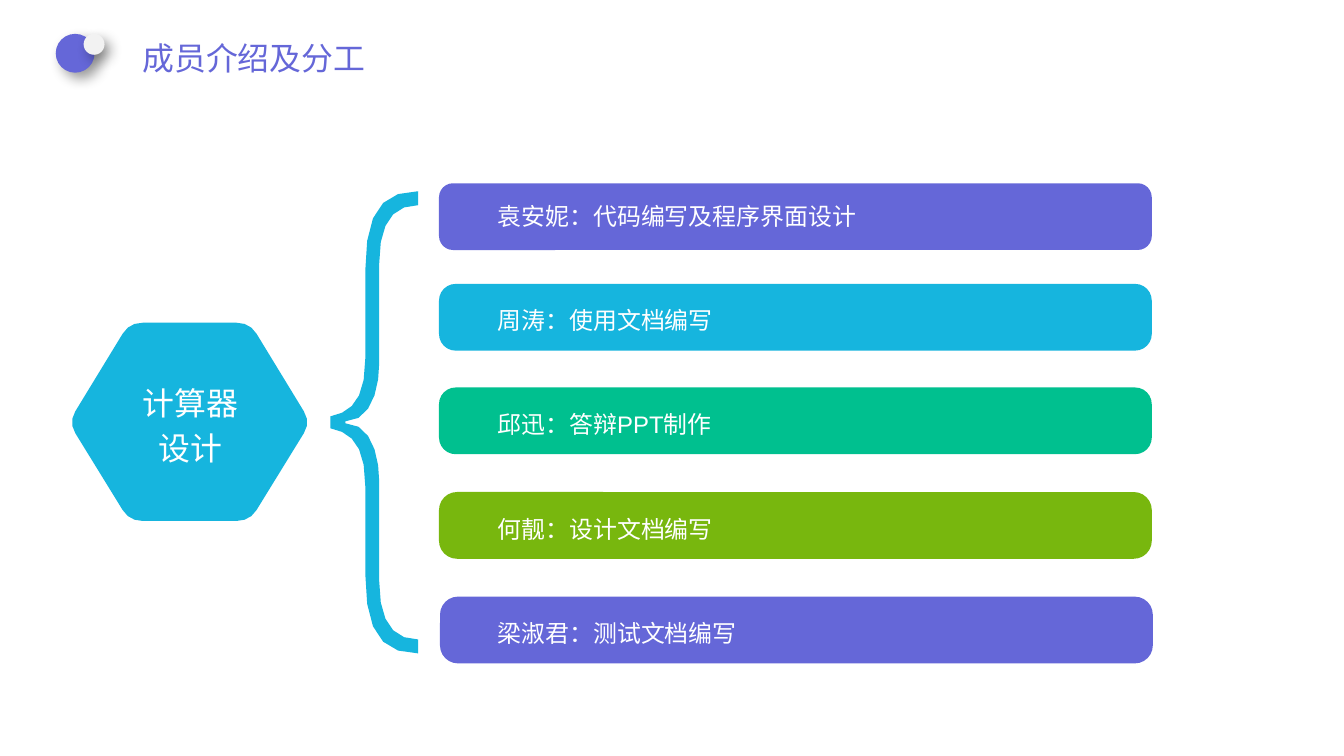
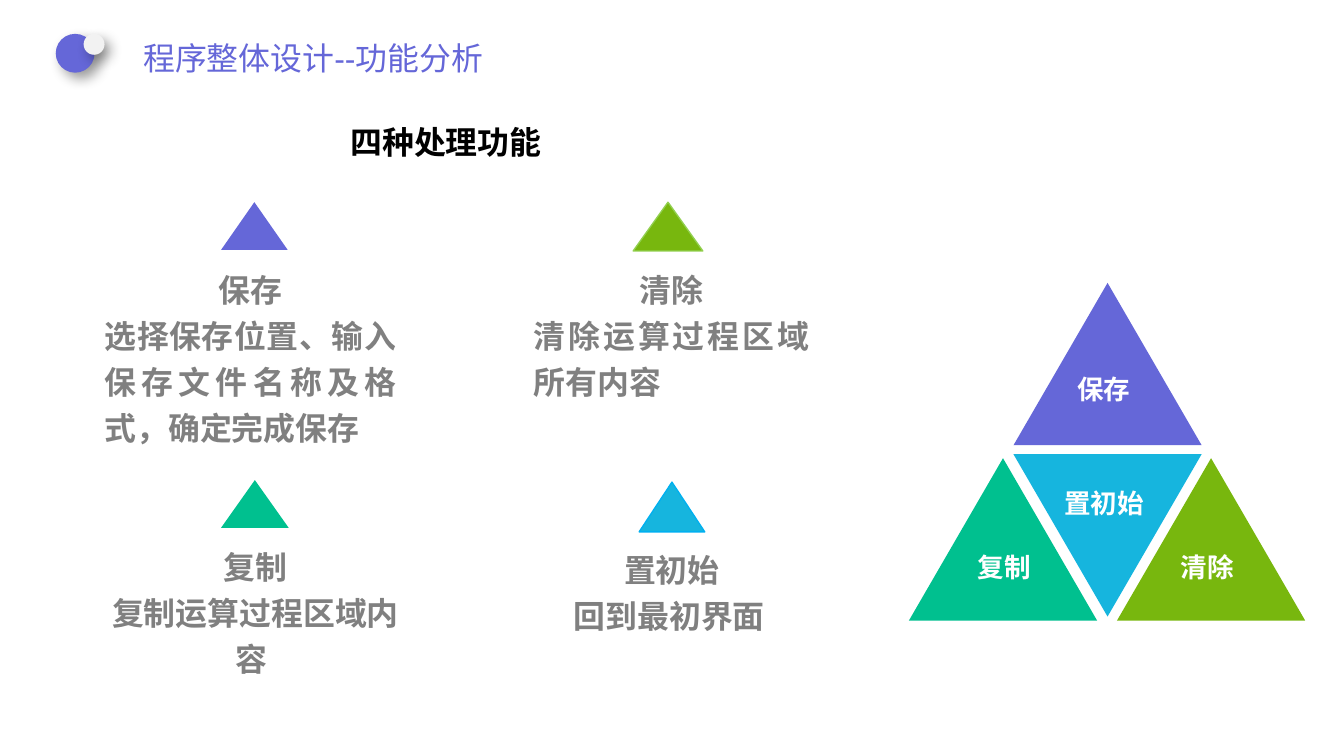
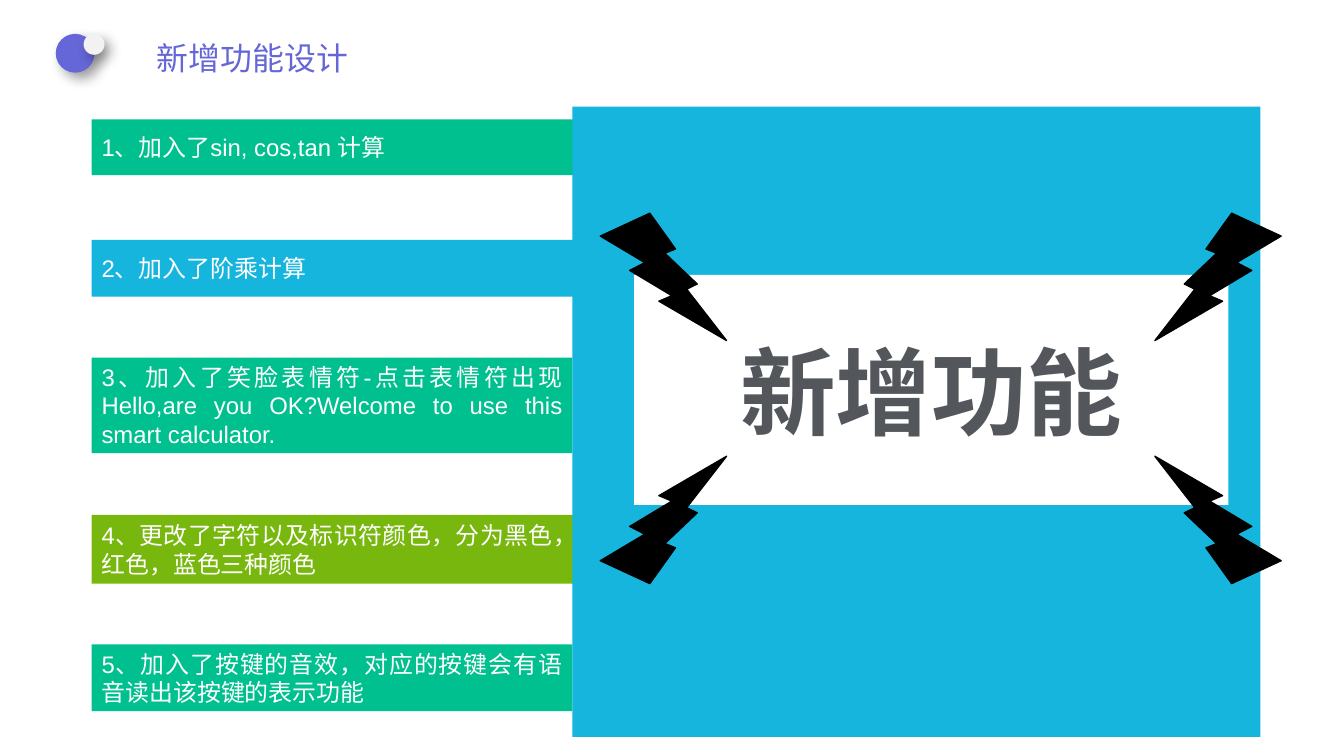
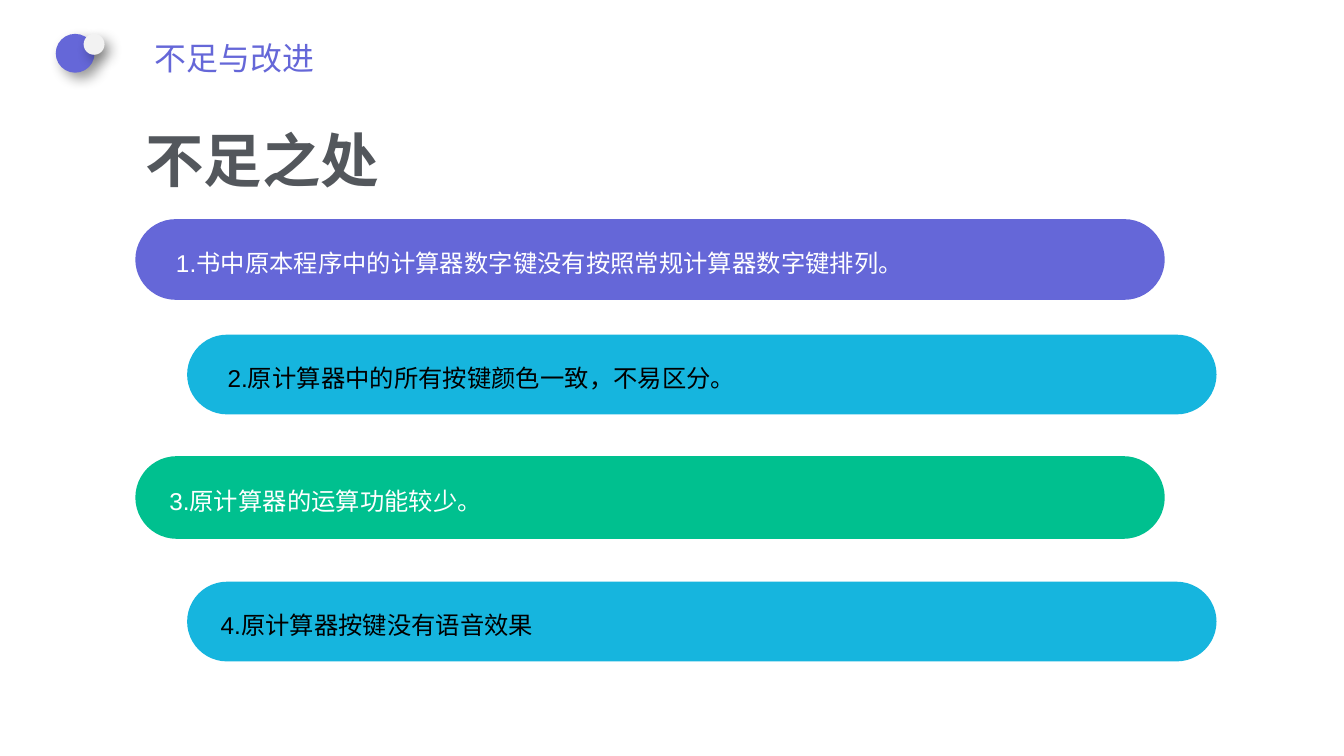
"""Builds four slides on a calculator project: team, functions, additions and shortcomings."""
import math

from lxml import etree
from pptx import Presentation
from pptx import util as u
from pptx.dml.color import RGBColor
from pptx.enum import shapes, text
from pptx.oxml.ns import qn

PX = 9525
PURPLE, BLUE, TEAL, GREEN = "6567D8", "16B5DE", "00C08F", "78B70E"
WHITE, BLACK, GREY, SLATE = "FFFFFF", "000000", "808080", "53575C"
CJK = "Noto Sans CJK SC"
MSO = shapes.MSO_SHAPE
LEFT, CENTER, JUSTIFY = text.PP_ALIGN.LEFT, text.PP_ALIGN.CENTER, text.PP_ALIGN.JUSTIFY
TOP, MIDDLE = text.MSO_ANCHOR.TOP, text.MSO_ANCHOR.MIDDLE


def paint(sp, fill, line=None):
    """Give a shape a flat fill, an optional thin line and no shadow."""
    sp.shadow.inherit = False
    sp.fill.solid()
    sp.fill.fore_color.rgb = RGBColor.from_string(fill)
    if line:
        sp.line.color.rgb = RGBColor.from_string(line)
        sp.line.width = u.Pt(1)
    else:
        sp.line.fill.background()
    return sp


def write(sp, words, size, color=WHITE, font="Arial", align=LEFT, spacing=1.0,
          bold=False, ins=(10, 5), anchor=TOP):
    """Fill a shape or text box with formatted text, one paragraph a line."""
    tf = sp.text_frame
    tf.text = words
    tf.word_wrap = True
    tf.vertical_anchor = anchor
    tf.margin_left = tf.margin_right = ins[0] * PX
    tf.margin_top = tf.margin_bottom = ins[1] * PX
    for p in tf.paragraphs:
        p.alignment = align
        p.line_spacing = spacing
        for r in p.runs:
            r.font.size = u.Pt(size)
            r.font.bold = bold
            r.font.name = font
            r.font.color.rgb = RGBColor.from_string(color)
            etree.SubElement(r.font._element, qn("a:ea")).set("typeface", CJK)
    return tf


prs = Presentation()
prs.slide_width, prs.slide_height = 1350 * PX, 759 * PX

titles = [("成员介绍及分工", 94, 322), ("程序整体设计--功能分析", 94, 441),
          ("新增功能设计", 33, 441), ("不足与改进", 15, 441)]
for title, x, w in titles:
    s = prs.slides.add_slide(prs.slide_layouts[6])
    for dot_x, d, fill in [(56, 39, PURPLE), (84, 21, "F2F2F2")]:
        sp = paint(s.shapes.add_shape(MSO.OVAL, dot_x * PX, 34 * PX, d * PX, d * PX), fill)
        effects = sp._element.spPr.find(qn("a:effectLst"))
        shadow = etree.SubElement(effects, qn("a:outerShdw"), blurRad=str(u.Pt(10)),
                                  dist=str(u.Pt(6)), dir="2700000", algn="tl", rotWithShape="0")
        black = etree.SubElement(shadow, qn("a:srgbClr"), val=BLACK)
        etree.SubElement(black, qn("a:alpha"), val="40000")
    sp = s.shapes.add_textbox(x * PX, 26 * PX, w * PX, 56 * PX)
    write(sp, title, 24, PURPLE, align=CENTER, spacing=1.2)
team, functions, additions, limits = prs.slides

s = team
corners = [(130, 324), (251, 324), (312, 424), (251, 523), (130, 523), (69, 424)]
hexagon = []
for i, (x, y) in enumerate(corners):
    (ax, ay), (bx, by) = corners[i - 1], corners[(i + 1) % 6]
    for step in range(4):
        t = step / 3
        k, m = 0.11 * (1 - t) ** 2, 0.11 * t ** 2
        hexagon.append((x + k * (ax - x) + m * (bx - x), y + k * (ay - y) + m * (by - y)))

curves = [
    ((332, 418), (353, 414), (367, 401), (367, 360)),
    ((367, 272), (367, 215), (382, 192), (420, 192)),
    ((420, 206), (394, 206), (381, 225), (381, 264)),
    ((381, 364), (381, 392), (372, 423), (347, 423)),
]
brace = []
for curve in curves:
    for step in range(6):
        t = step / 5
        weights = [math.comb(3, k) * t ** k * (1 - t) ** (3 - k) for k in range(4)]
        brace.append(tuple(sum(c * v for c, v in zip(weights, axis)) for axis in zip(*curve)))
brace += [(x, 848 - y) for x, y in reversed(brace)]

for outline in (hexagon, brace):
    points = [(round(x * PX), round(y * PX)) for x, y in outline]
    fb = s.shapes.build_freeform(*points[0], scale=1.0)
    fb.add_line_segments(points[1:], close=True)
    paint(fb.convert_to_shape(), BLUE)
sp = s.shapes.add_textbox(119 * PX, 377 * PX, 145 * PX, 93 * PX)
write(sp, "计算器\n设计", 24, align=CENTER, spacing=1.2, ins=(0, 0))

members = [
    ("袁安妮：代码编写及程序界面设计", 441, 184, 197, PURPLE, 0.21),
    ("周涛：使用文档编写", 441, 285, 301, BLUE, 0.25),
    ("邱迅：答辩PPT制作", 441, 389, 405, TEAL, 0.25),
    ("何靓：设计文档编写", 441, 494, 511, GREEN, 0.27),
    ("梁淑君：测试文档编写", 442, 599, 615, PURPLE, 0.27),
]
for words, x, y, text_y, fill, adj in members:
    sp = s.shapes.add_shape(MSO.ROUNDED_RECTANGLE, x * PX, y * PX, 716 * PX, 67 * PX)
    sp.adjustments[0] = adj
    paint(sp, fill)
    sp = s.shapes.add_textbox(500 * PX, text_y * PX, 555 * PX, 35 * PX)
    write(sp, words, 18, align=JUSTIFY, spacing=1.2, ins=(0, 0))

s = functions
sp = s.shapes.add_textbox(260 * PX, 118 * PX, 376 * PX, 48 * PX)
write(sp, "四种处理功能", 24, BLACK, "Calibri", CENTER, bold=True)
cards = [
    ("保存\n选择保存位置、输入保存文件名称及格式，确定完成保存", JUSTIFY, 10, PURPLE, None,
     (222, 203, 67, 48), (95, 259, 313, 196)),
    ("清除\n清除运算过程区域所有内容", JUSTIFY, 10, GREEN, "92D050",
     (636, 203, 70, 49), (526, 259, 297, 149)),
    ("复制\n复制运算过程区域内容 ", CENTER, 20, TEAL, None,
     (222, 482, 68, 48), (81, 537, 351, 149)),
    ("置初始\n 回到最初界面", JUSTIFY, 10, BLUE, "00B0F0",
     (642, 484, 66, 50), (559, 540, 232, 103)),
]
for words, align, inset, fill, line, mark, box in cards:
    paint(s.shapes.add_shape(MSO.ISOSCELES_TRIANGLE, *[v * PX for v in mark]), fill, line)
    sp = s.shapes.add_textbox(*[v * PX for v in box])
    tf = write(sp, words, 24, GREY, CJK, CENTER, 1.2, True, (inset, 5))
    p = tf.paragraphs[1]
    p.alignment = align
    p._p.get_or_add_pPr().set("hangingPunct", "0")

pyramid = [
    ("置初始", BLUE, 1018, 456, 180, 1059, 484, 105),
    ("保存", PURPLE, 1018, 284, 0, 1072, 369, 80),
    ("清除", GREEN, 1122, 460, 0, 1176, 548, 80),
    ("复制", TEAL, 913, 460, 0, 972, 548, 80),
]
for words, fill, x, y, turn, text_x, text_y, text_w in pyramid:
    sp = s.shapes.add_shape(MSO.ISOSCELES_TRIANGLE, x * PX, y * PX, 189 * PX, 163 * PX)
    sp.rotation = turn
    paint(sp, fill)
    sp = s.shapes.add_textbox(text_x * PX, text_y * PX, text_w * PX, 42 * PX)
    write(sp, words, 20, font="Calibri", bold=True).word_wrap = False

s = additions
features = [
    ("1、加入了sin, cos,tan 计算", 120, 498, 56, TEAL),
    ("2、加入了阶乘计算", 241, 514, 57, BLUE),
    ("3、加入了笑脸表情符-点击表情符出现 Hello,are you OK?Welcome to use this smart calculator.",
     359, 483, 96, TEAL),
    ("4、更改了字符以及标识符颜色，分为黑色，红色，蓝色三种颜色", 517, 498, 69, GREEN),
    ("5、加入了按键的音效，对应的按键会有语音读出该按键的表示功能", 647, 483, 67, TEAL),
]
for words, y, w, h, fill in features:
    sp = paint(s.shapes.add_shape(MSO.RECTANGLE, 92 * PX, y * PX, w * PX, h * PX), fill)
    write(sp, words, 18, align=JUSTIFY, anchor=MIDDLE)
for box, fill in [((575, 107, 691, 633), BLUE), ((637, 276, 597, 231), WHITE)]:
    paint(s.shapes.add_shape(MSO.RECTANGLE, *[v * PX for v in box]), fill)
sp = s.shapes.add_textbox(733 * PX, 329 * PX, 405 * PX, 126 * PX)
write(sp, "新增功能", 72, SLATE, "Calibri", CENTER, bold=True).word_wrap = False
for x, flip_h in [(603, "0"), (1160, "1")]:
    for y, flip_v in [(214, "0"), (458, "1")]:
        sp = s.shapes.add_shape(MSO.LIGHTNING_BOLT, x * PX, y * PX, 127 * PX, 128 * PX)
        paint(sp, BLACK, BLACK)
        xfrm = sp._element.spPr.find(qn("a:xfrm"))
        xfrm.set("flipH", flip_h)
        xfrm.set("flipV", flip_v)

s = limits
sp = s.shapes.add_textbox(136 * PX, 120 * PX, 255 * PX, 81 * PX)
write(sp, "不足之处", 44, SLATE, "Calibri", CENTER, bold=True).word_wrap = False
issues = [
    ("1.书中原本程序中的计算器数字键没有按照常规计算器数字键排列。", 136, 220, 81, PURPLE, WHITE, 29),
    ("2.原计算器中的所有按键颜色一致，不易区分。", 188, 336, 80, BLUE, BLACK, 29),
    ("3.原计算器的运算功能较少。", 136, 458, 83, TEAL, WHITE, 22),
    ("4.原计算器按键没有语音效果", 188, 584, 80, BLUE, BLACK, 22),
]
for words, x, y, h, fill, color, indent in issues:
    sp = s.shapes.add_shape(MSO.ROUNDED_RECTANGLE, x * PX, y * PX, 1034 * PX, h * PX)
    sp.adjustments[0] = 0.5
    paint(sp, fill)
    write(sp, words, 18.3, color, spacing=1.2, ins=(indent, 2), anchor=MIDDLE)

prs.save("out.pptx")
